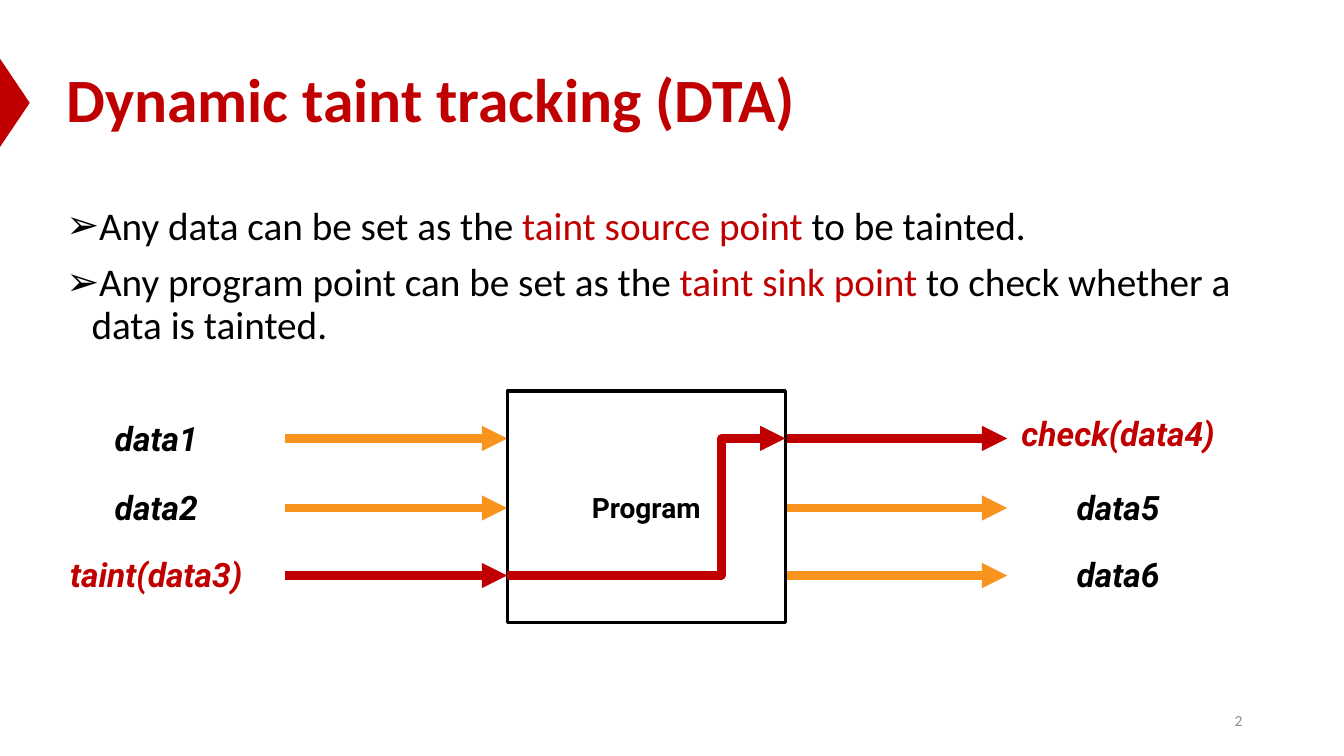
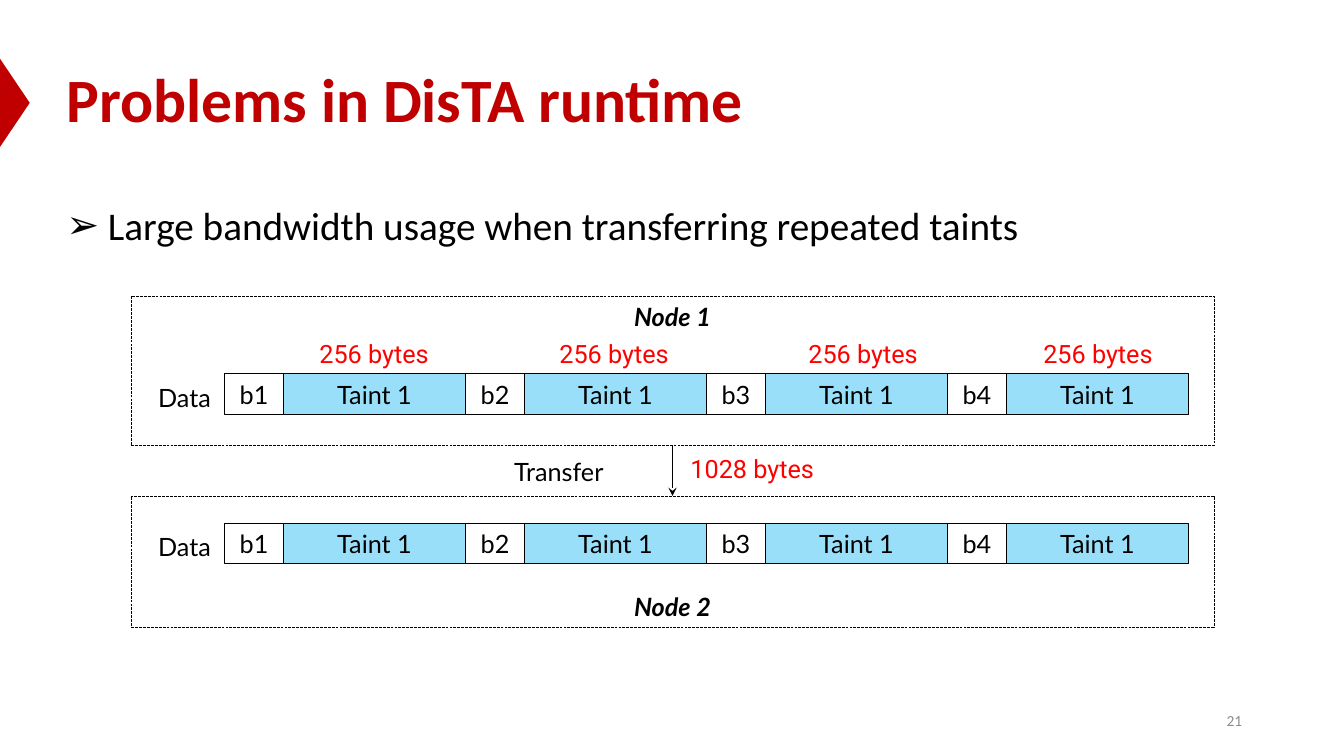
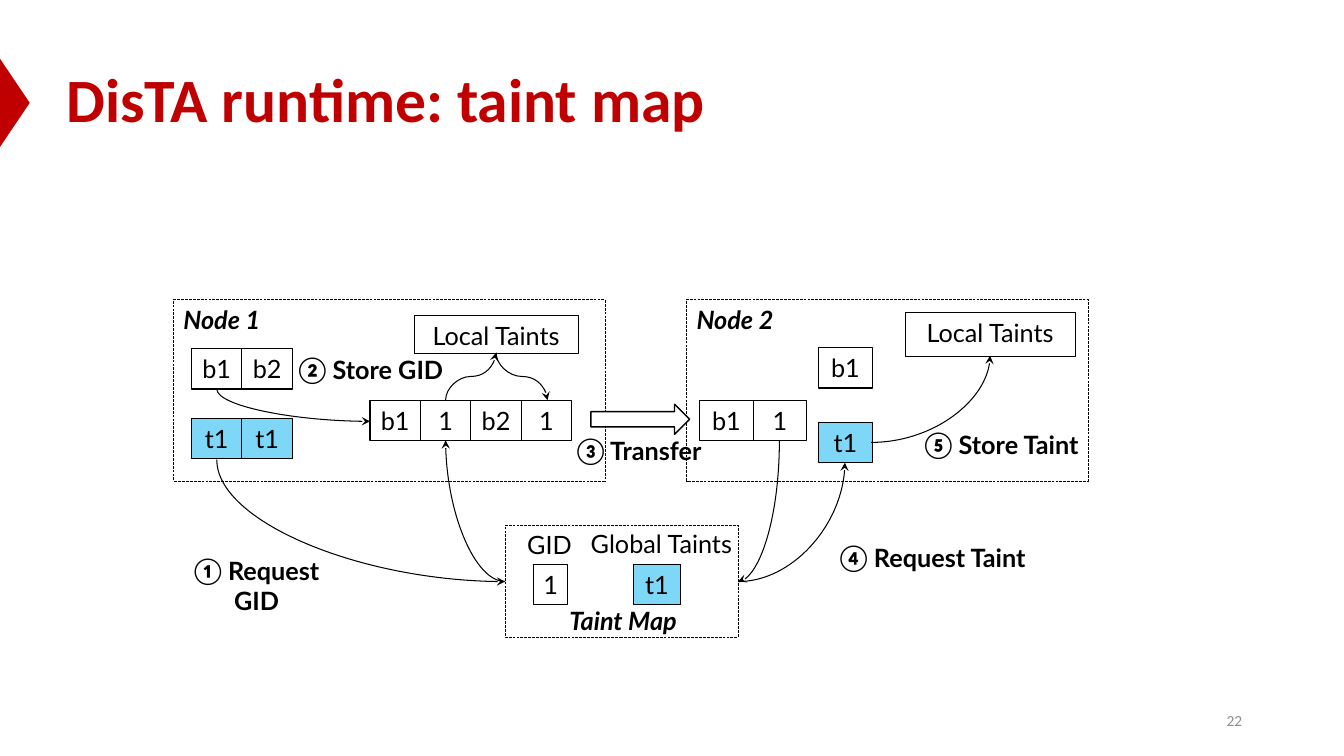
from dataclasses import dataclass

from lxml.etree import SubElement
from pptx import Presentation
from pptx.dml.color import RGBColor
from pptx.enum.dml import MSO_LINE
from pptx.enum.shapes import MSO_CONNECTOR, MSO_SHAPE
from pptx.enum.text import MSO_ANCHOR, PP_ALIGN
from pptx.oxml.ns import qn
from pptx.util import Inches, Pt


@dataclass(frozen=True)
class Theme:
    """Colours, fonts and type sizes of the deck."""

    brand: str = "C00000"
    ink: str = "000000"
    paper: str = "FFFFFF"
    muted: str = "8C8C8C"
    flow: str = "F8931D"
    alert: str = "FF0000"
    wide_taint: str = "99DFF9"
    taint: str = "7FD7F7"
    main_font: str = "Calibri"
    label_font: str = "Lato"
    data_font: str = "Roboto"
    title_size: int = 44
    body_size: int = 28
    data_size: int = 24
    program_size: int = 20
    label_size: int = 18
    number_size: int = 11


THEME = Theme()
CELL_HEIGHT = 0.4


def write(frame, paragraphs, font=THEME.label_font, size=THEME.label_size,
          color=THEME.ink, bold=False, italic=False, align=PP_ALIGN.LEFT,
          anchor=MSO_ANCHOR.TOP, spacing=None, gap=0, bullet=None):
    """Fill a text frame with paragraphs, each a list of (text, colour) spans."""
    if isinstance(paragraphs, str):
        paragraphs = [[(paragraphs, color)]]
    frame.word_wrap = True
    frame.vertical_anchor = anchor
    for index, spans in enumerate(paragraphs):
        para = frame.add_paragraph() if index else frame.paragraphs[0]
        para.alignment = align
        para.line_spacing = spacing
        if index:
            para.space_before = Pt(gap)
        if bullet:
            properties = para._p.get_or_add_pPr()
            properties.set("marL", str(Inches(0.25)))
            properties.set("indent", str(-Inches(0.25)))
            SubElement(properties, qn("a:buFont"), typeface="Arial")
            SubElement(properties, qn("a:buChar"), char=bullet)
        for text, span_color in spans:
            span = para.add_run()
            span.text = text
            span.font.name = font
            span.font.size = Pt(size)
            span.font.bold = bold
            span.font.italic = italic
            span.font.color.rgb = RGBColor.from_string(span_color)


def add_text(page, left, top, width, height, paragraphs, **style):
    """Add a text box."""
    box = page.shapes.add_textbox(*map(Inches, (left, top, width, height)))
    write(box.text_frame, paragraphs, **style)


def add_block(page, left, top, width, height, text="", kind=MSO_SHAPE.RECTANGLE,
              fill=None, weight=0.75, dash=None, **style):
    """Add a preset shape with an optional fill, outline and text."""
    shape = page.shapes.add_shape(kind, *map(Inches, (left, top, width, height)))
    shape.shadow.inherit = False
    if fill:
        shape.fill.solid()
        shape.fill.fore_color.rgb = RGBColor.from_string(fill)
    else:
        shape.fill.background()
    if weight:
        shape.line.color.rgb = RGBColor.from_string(THEME.ink)
        shape.line.width = Pt(weight)
        shape.line.dash_style = dash
    else:
        shape.line.fill.background()
    if text:
        write(shape.text_frame, text, **style)
    return shape


def add_cell(page, left, top, width, text, align=PP_ALIGN.CENTER, **look):
    """Add one cell of a byte row."""
    add_block(page, left, top, width, CELL_HEIGHT, text, align=align, **look)


def add_zone(page, left, top, width, height, text="", **style):
    """Add a dashed frame around one part of a system."""
    add_block(page, left, top, width, height, text, weight=0.25,
              dash=MSO_LINE.LONG_DASH, bold=True, italic=True, **style)


def add_arrow(page, start, end, kind=MSO_CONNECTOR.STRAIGHT, color=THEME.ink,
              weight=0.75, head="stealth", preset=None, bend=None, upright=False):
    """Add an arrow; an upright one leaves its start vertically."""
    (x1, y1), (x2, y2) = start, end
    turn = 0
    if upright:
        turn = 90 if (x2 - x1) * (y2 - y1) < 0 else 270
        sign = 1 if turn == 90 else -1
        middle_x, middle_y = (x1 + x2) / 2, (y1 + y2) / 2
        half_x, half_y = sign * (y2 - y1) / 2, sign * (x1 - x2) / 2
        x1, y1 = middle_x - half_x, middle_y - half_y
        x2, y2 = middle_x + half_x, middle_y + half_y
    arrow = page.shapes.add_connector(kind, *map(Inches, (x1, y1, x2, y2)))
    arrow.line.color.rgb = RGBColor.from_string(color)
    arrow.line.width = Pt(weight)
    properties = arrow.element.spPr
    SubElement(properties.find(qn("a:ln")), qn("a:tailEnd"), type=head)
    SubElement(properties, qn("a:effectLst"))
    geometry = properties.find(qn("a:prstGeom"))
    if turn:
        properties.find(qn("a:xfrm")).set("rot", str(turn * 60000))
    if preset:
        geometry.set("prst", preset)
    if bend:
        SubElement(geometry.find(qn("a:avLst")), qn("a:gd"), name="adj1",
                   fmla=f"val {round(bend * 100000)}")


def add_page(deck, title, number):
    """Add a slide with the shared marker, title and page number."""
    page = deck.slides.add_slide(deck.slide_layouts[6])
    marker = add_block(page, -0.3, 0.87, 0.89, 0.3, fill=THEME.brand, weight=0,
                       kind=MSO_SHAPE.ISOSCELES_TRIANGLE)
    marker.rotation = 90
    add_text(page, 0.56, 0.29, 12.77, 1.45, title, font=THEME.main_font,
             size=THEME.title_size, color=THEME.brand, bold=True, spacing=0.9,
             anchor=MSO_ANCHOR.MIDDLE)
    add_text(page, 9.42, 6.95, 3, 0.4, str(number), font=THEME.main_font,
             size=THEME.number_size, color=THEME.muted, align=PP_ALIGN.RIGHT,
             anchor=MSO_ANCHOR.MIDDLE)
    return page


def add_body(page, paragraphs):
    """Add the bulleted body text."""
    add_text(page, 0.56, 2, 11.86, 4.76, paragraphs, font=THEME.main_font,
             size=THEME.body_size, spacing=0.9, gap=10, bullet="➢")


def add_tracking_page(deck):
    """Show tainted data flowing through a program."""
    page = add_page(deck, "Dynamic taint tracking (DTA)", 2)
    add_body(page, [
        [("Any data can be set as the ", THEME.ink),
         ("taint source point ", THEME.brand), ("to be tainted.", THEME.ink)],
        [("Any program point can be set as the ", THEME.ink),
         ("taint sink point ", THEME.brand),
         ("to check whether a data is tainted.", THEME.ink)],
    ])
    rows = (4.35, 5.04, 5.71)
    flows = (
        (0.45, 2.83, ("data1", "data2", "taint(data3)"), (4.1, 4.78, 5.45)),
        (9.99, 7.79, ("check(data4)", "data5", "data6"), (4.05, 4.78, 5.45)),
    )
    for label_left, start, names, tops in flows:
        for row, name, top in zip(rows, names, tops):
            marked = "(" in name
            add_arrow(page, (start, row), (start + 2.2, row), weight=6,
                      color=THEME.brand if marked else THEME.flow, head="triangle")
            add_text(page, label_left, top, 2.2, 0.5, name, font=THEME.data_font,
                     size=THEME.data_size, bold=True, italic=True,
                     color=THEME.brand if marked else THEME.ink,
                     align=PP_ALIGN.CENTER)
    add_block(page, 5.03, 3.88, 2.76, 2.3, "Program", fill=THEME.paper, weight=2.25,
              font=THEME.data_font, size=THEME.program_size, bold=True,
              align=PP_ALIGN.CENTER, anchor=MSO_ANCHOR.MIDDLE)
    add_arrow(page, (5.03, rows[2]), (7.79, rows[0]), kind=MSO_CONNECTOR.ELBOW,
              color=THEME.brand, weight=6, head="triangle", bend=0.77)


def add_bandwidth_page(deck):
    """Show the cost of sending the same taint with each byte."""
    page = add_page(deck, "Problems in DisTA runtime", 21)
    add_body(page, [[(" Large bandwidth usage when transferring repeated taints",
                      THEME.ink)]])
    add_zone(page, 1.3, 2.94, 10.74, 1.48, "Node 1", align=PP_ALIGN.CENTER)
    add_zone(page, 1.3, 4.92, 10.74, 1.3, "Node 2", align=PP_ALIGN.CENTER,
             anchor=MSO_ANCHOR.BOTTOM)
    add_arrow(page, (6.67, 4.42), (6.67, 4.92))
    add_text(page, 5, 4.48, 1.16, 0.4, "Transfer")
    pitch, byte_width = 2.39, 0.58
    for top in (3.71, 5.19):
        add_text(page, 1.47, top + 0.03, 1.07, 0.4, "Data")
        for index in range(4):
            left = 2.23 + index * pitch
            add_cell(page, left, top, byte_width, f"b{index + 1}")
            add_cell(page, left + byte_width, top, pitch - byte_width, "Taint 1",
                     fill=THEME.wide_taint)
    red = {"font": THEME.data_font, "color": THEME.alert}
    for left in (3.07, 5.45, 7.92, 10.25):
        add_text(page, left, 3.31, 1.3, 0.4, "256 bytes", **red)
    add_text(page, 6.75, 4.45, 1.51, 0.4, "1028 bytes", **red)


def add_map_page(deck):
    """Show how a taint map replaces taints by identifiers."""
    page = add_page(deck, "DisTA runtime: taint map", 22)
    add_zone(page, 1.72, 2.97, 4.28, 1.8, "Node 1")
    add_zone(page, 6.81, 2.97, 3.98, 1.8, "Node 2")
    add_zone(page, 5.01, 5.21, 2.31, 1.11)

    cell_rows = (
        (1.9, 3.46, 0.5, ("b1", "b2")),
        (1.9, 4.15, 0.5, ("t1", "t1")),
        (3.67, 3.97, 0.5, ("b1", "1", "b2", "1")),
        (6.94, 3.97, 0.53, ("b1", "1")),
        (8.12, 3.45, 0.53, ("b1",)),
        (8.12, 4.19, 0.53, ("t1",)),
        (5.29, 5.6, 0.34, ("1",)),
        (6.28, 5.6, 0.47, ("t1",)),
    )
    for left, top, width, names in cell_rows:
        for index, name in enumerate(names):
            add_cell(page, left + index * width, top, width, name,
                     fill=THEME.taint if name == "t1" else None)
    for left, top, width, height in ((4.11, 3.13, 1.62, 0.37), (8.98, 3.1, 1.68, 0.43)):
        add_block(page, left, top, width, height, "Local Taints", weight=0.25,
                  align=PP_ALIGN.CENTER)

    quarter, wave = "curvedConnector2", "curvedConnector3"
    curves = (
        ((2.15, 4.56), (5.01, 5.77), quarter, True),
        ((5.01, 5.77), (4.42, 4.37), quarter, False),
        ((2.15, 3.86), (3.67, 4.18), quarter, True),
        ((7.32, 5.77), (8.38, 4.59), quarter, False),
        ((7.73, 4.37), (7.32, 5.77), quarter, True),
        ((8.64, 4.39), (9.82, 3.53), quarter, False),
        ((4.42, 3.97), (4.92, 3.5), wave, True),
        ((4.92, 3.5), (5.43, 3.97), wave, True),
    )
    for start, end, preset, upright in curves:
        add_arrow(page, start, end, kind=MSO_CONNECTOR.CURVE, preset=preset,
                  upright=upright)
    add_block(page, 5.86, 4.01, 0.98, 0.3, kind=MSO_SHAPE.RIGHT_ARROW,
              fill=THEME.paper, weight=1)

    steps = (
        (1.58, 5.46, 1.93, "① Request GID", PP_ALIGN.CENTER),
        (2.86, 3.47, 1.72, "② Store GID", PP_ALIGN.LEFT),
        (5.62, 4.27, 1.56, "③ Transfer", PP_ALIGN.LEFT),
        (8.23, 5.33, 2.14, "④ Request Taint", PP_ALIGN.LEFT),
        (9.07, 4.21, 1.9, "⑤ Store Taint", PP_ALIGN.LEFT),
    )
    for left, top, width, text, align in steps:
        add_text(page, left, top, width, 0.4, text, bold=True, align=align)
    add_text(page, 5.05, 5.2, 0.8, 0.4, "GID", align=PP_ALIGN.CENTER)
    add_text(page, 5.71, 5.19, 1.7, 0.4, "Global Taints", align=PP_ALIGN.CENTER)
    add_text(page, 5.42, 5.96, 1.52, 0.4, "Taint Map", bold=True, italic=True,
             align=PP_ALIGN.CENTER)


def main():
    """Build the deck and save it."""
    deck = Presentation()
    deck.slide_width, deck.slide_height = Inches(13.33), Inches(7.5)
    add_tracking_page(deck)
    add_bandwidth_page(deck)
    add_map_page(deck)
    deck.save("out.pptx")


if __name__ == "__main__":
    main()
